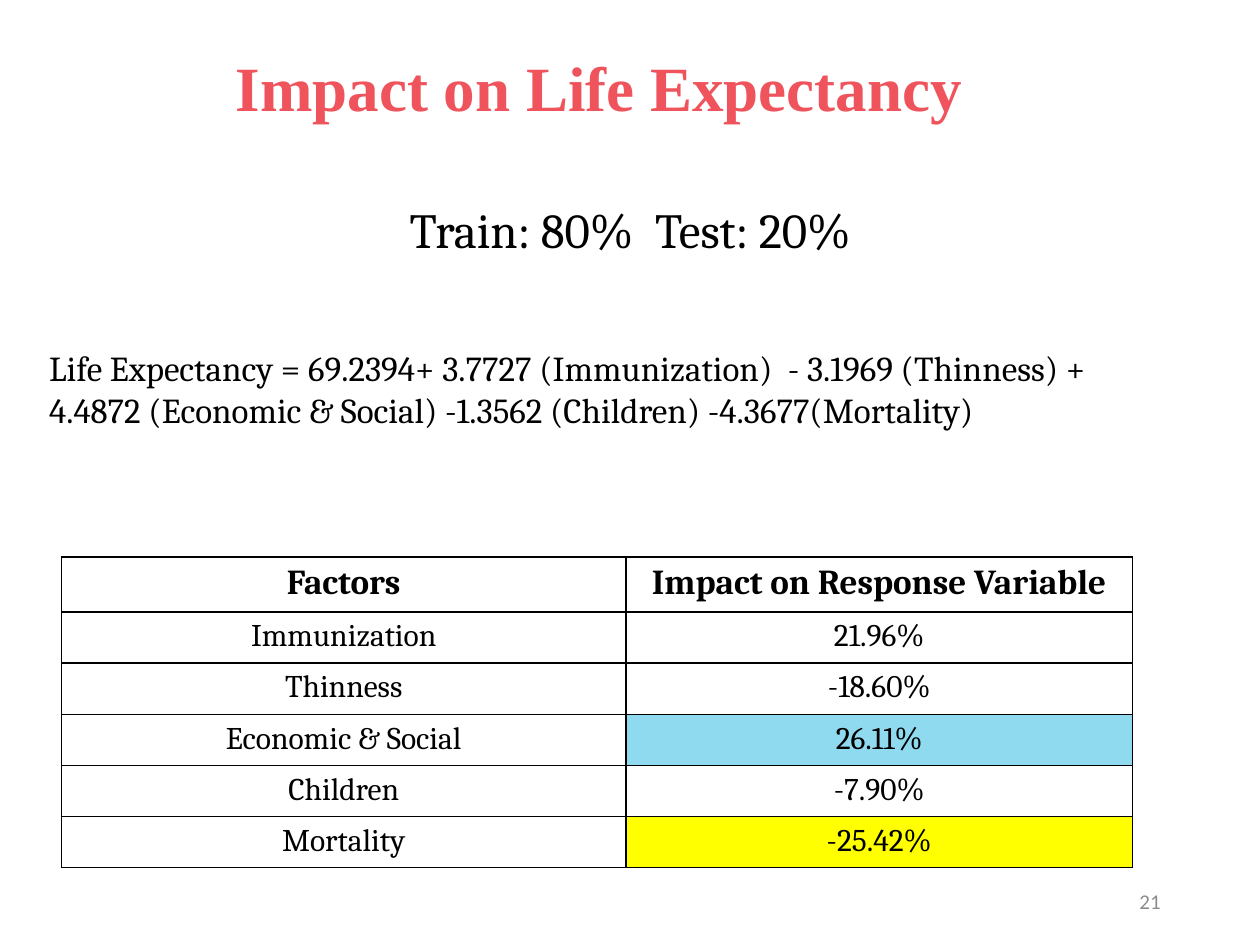
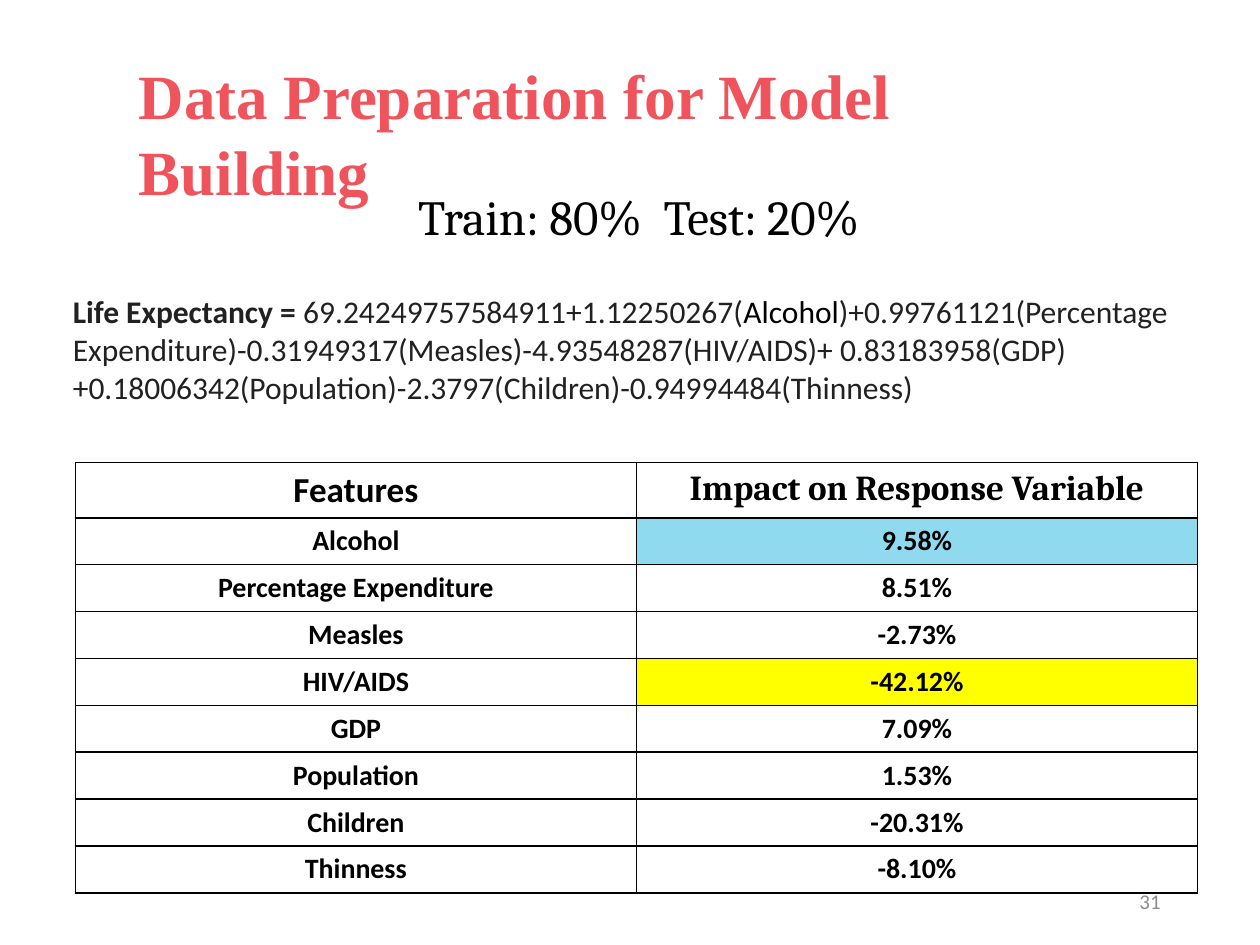
from dataclasses import dataclass

from lxml import etree
from pptx import Presentation
from pptx.dml.color import RGBColor
from pptx.enum import text
from pptx.oxml import ns
from pptx.util import Cm, Pt


@dataclass(frozen=True)
class Theme:
    coral: str = "EF535C"
    black: str = "000000"
    charcoal: str = "212121"
    grey: str = "8C8C8C"
    white: str = "FFFFFF"
    blue: str = "90DAEF"
    yellow: str = "FFFF00"
    title_font: str = "Times New Roman"
    serif: str = "Cambria"
    sans: str = "Calibri"
    title_size: int = 36
    split_size: int = 28
    header_size: int = 20
    number_size: int = 12


theme = Theme()
LEFT, CENTER, RIGHT = text.PP_ALIGN.LEFT, text.PP_ALIGN.CENTER, text.PP_ALIGN.RIGHT


def add_run(paragraph, wording, font_name, size, color=theme.black, bold=False):
    run = paragraph.add_run()
    run.text = wording
    run.font.name = font_name
    run.font.size = Pt(size)
    run.font.bold = bold
    run.font.color.rgb = RGBColor.from_string(color)


def prepare_text(shape, box, align=LEFT, anchor=text.MSO_ANCHOR.TOP):
    """Place a text shape and return its first paragraph."""
    shape.left, shape.top, shape.width, shape.height = (Cm(length) for length in box)
    frame = shape.text_frame
    frame.word_wrap = True
    frame.auto_size = text.MSO_AUTO_SIZE.NONE
    frame.vertical_anchor = anchor
    frame.paragraphs[0].alignment = align
    return frame.paragraphs[0]


# Content: boxes are left, top, width, height in centimetres
slides = [
    dict(
        title="Impact on Life Expectancy", title_box=(4.5, 0.86, 20.29, 1.8),
        split_box=(5.44, 3.89, 14.53, 1.45),
        equation_box=(0.74, 6.86, 24.66, 1.96),
        equation_font=theme.serif, equation_size=20,
        equation=[
            [("Life Expectancy = 69.2394+ 3.7727 (Immunization)  - 3.1969 (Thinness) +",
              theme.black, False)],
            [("4.4872 (Economic & Social) -1.3562 (Children) -4.3677(Mortality)",
              theme.black, False)],
        ],
        table_at=(1.24, 11.23), columns=(11.38, 10.21), row_height=1.03,
        header="Factors", table_font=theme.serif, cell_size=18, cell_bold=False,
        impacts=[("Immunization", "21.96%"), ("Thinness", "-18.60%"),
                 ("Economic & Social", "26.11%"), ("Children", "-7.90%"),
                 ("Mortality", "-25.42%")],
        number="21",
    ),
    dict(
        title="Data Preparation for Model Building", title_box=(2.54, 1.02, 20.29, 1.8),
        split_box=(5.61, 3.63, 14.53, 1.45),
        equation_box=(1.22, 5.77, 22.94, 2.57),
        equation_font=theme.sans, equation_size=18,
        equation=[
            [("Life Expectancy = ", theme.charcoal, True),
             ("69.24249757584911+1.12250267(", theme.charcoal, False),
             ("Alcohol", theme.black, False),
             (")+0.99761121(Percentage Expenditure)-0.31949317(Measles)"
              "-4.93548287(HIV/AIDS)+ 0.83183958(GDP)+0.18006342(Population)"
              "-2.3797(Children)-0.94994484(Thinness)", theme.charcoal, False)],
        ],
        table_at=(1.52, 9.32), columns=(11.31, 11.31), row_height=0.93,
        header="Features", table_font=theme.sans, cell_size=16, cell_bold=True,
        impacts=[("Alcohol", "9.58%"), ("Percentage Expenditure", "8.51%"),
                 ("Measles", "-2.73%"), ("HIV/AIDS", "-42.12%"), ("GDP", "7.09%"),
                 ("Population", "1.53%"), ("Children", "-20.31%"),
                 ("Thinness", "-8.10%")],
        number="31",
    ),
]
header_height = 1.11

presentation = Presentation()
presentation.slide_width, presentation.slide_height = Cm(25.4), Cm(19.05)
title_only = presentation.slide_layouts[5]

for content in slides:
    slide = presentation.slides.add_slide(title_only)

    # Title
    paragraph = prepare_text(slide.shapes.title, content["title_box"])
    add_run(paragraph, content["title"], theme.title_font, theme.title_size,
            theme.coral, True)

    # Train and test split
    shape = slide.shapes.add_textbox(0, 0, 0, 0)
    paragraph = prepare_text(shape, content["split_box"], CENTER)
    add_run(paragraph, "Train: 80%  Test: 20%", theme.serif, theme.split_size)

    # Regression equation
    shape = slide.shapes.add_textbox(0, 0, 0, 0)
    paragraph = prepare_text(shape, content["equation_box"])
    for line_index, line in enumerate(content["equation"]):
        if line_index:
            paragraph.add_line_break()
        for wording, color, bold in line:
            add_run(paragraph, wording, content["equation_font"],
                    content["equation_size"], color, bold)

    # Impact table, with the highest and lowest impact highlighted
    impacts = content["impacts"]
    values = [float(impact.rstrip("%")) for _, impact in impacts]
    highlights = {max(values): theme.blue, min(values): theme.yellow}
    rows = [(content["header"], "Impact on Response Variable"), *impacts]
    left, top = content["table_at"]
    height = header_height + len(impacts) * content["row_height"]
    table = slide.shapes.add_table(len(rows), 2, Cm(left), Cm(top),
                                   Cm(sum(content["columns"])), Cm(height)).table
    table.first_row = table.horz_banding = False
    for column, width in zip(table.columns, content["columns"]):
        column.width = Cm(width)

    for row_index, row in enumerate(rows):
        is_header = row_index == 0
        table.rows[row_index].height = Cm(header_height if is_header
                                          else content["row_height"])
        for column_index, wording in enumerate(row):
            cell = table.cell(row_index, column_index)
            paragraph = cell.text_frame.paragraphs[0]
            paragraph.alignment = CENTER
            is_impact_header = is_header and column_index == 1
            add_run(paragraph, wording,
                    theme.serif if is_impact_header else content["table_font"],
                    theme.header_size if is_header else content["cell_size"],
                    bold=is_header or content["cell_bold"])

            # Cell borders come before the fill in the cell properties
            properties = cell._tc.get_or_add_tcPr()
            for side in ("a:lnL", "a:lnR", "a:lnT", "a:lnB"):
                border = etree.SubElement(properties, ns.qn(side), w=str(Pt(1)))
                fill = etree.SubElement(border, ns.qn("a:solidFill"))
                etree.SubElement(fill, ns.qn("a:srgbClr"), val=theme.black)
            color = theme.white
            if column_index == 1 and not is_header:
                color = highlights.get(values[row_index - 1], theme.white)
            cell.fill.solid()
            cell.fill.fore_color.rgb = RGBColor.from_string(color)

    # Slide number
    shape = slide.shapes.add_textbox(0, 0, 0, 0)
    paragraph = prepare_text(shape, (17.93, 17.65, 5.72, 1.02), RIGHT,
                             text.MSO_ANCHOR.MIDDLE)
    add_run(paragraph, content["number"], theme.sans, theme.number_size, theme.grey)

presentation.save("out.pptx")
